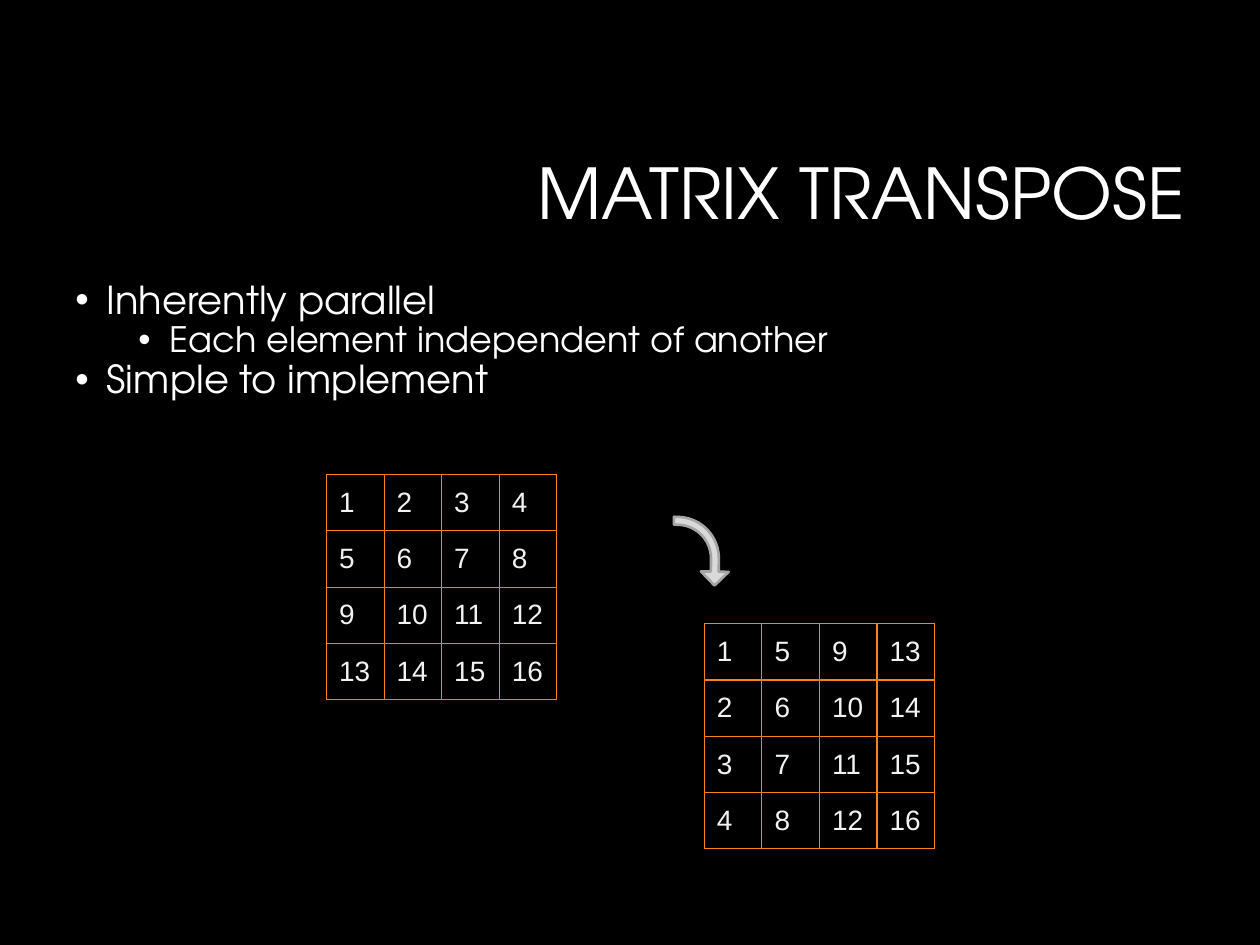
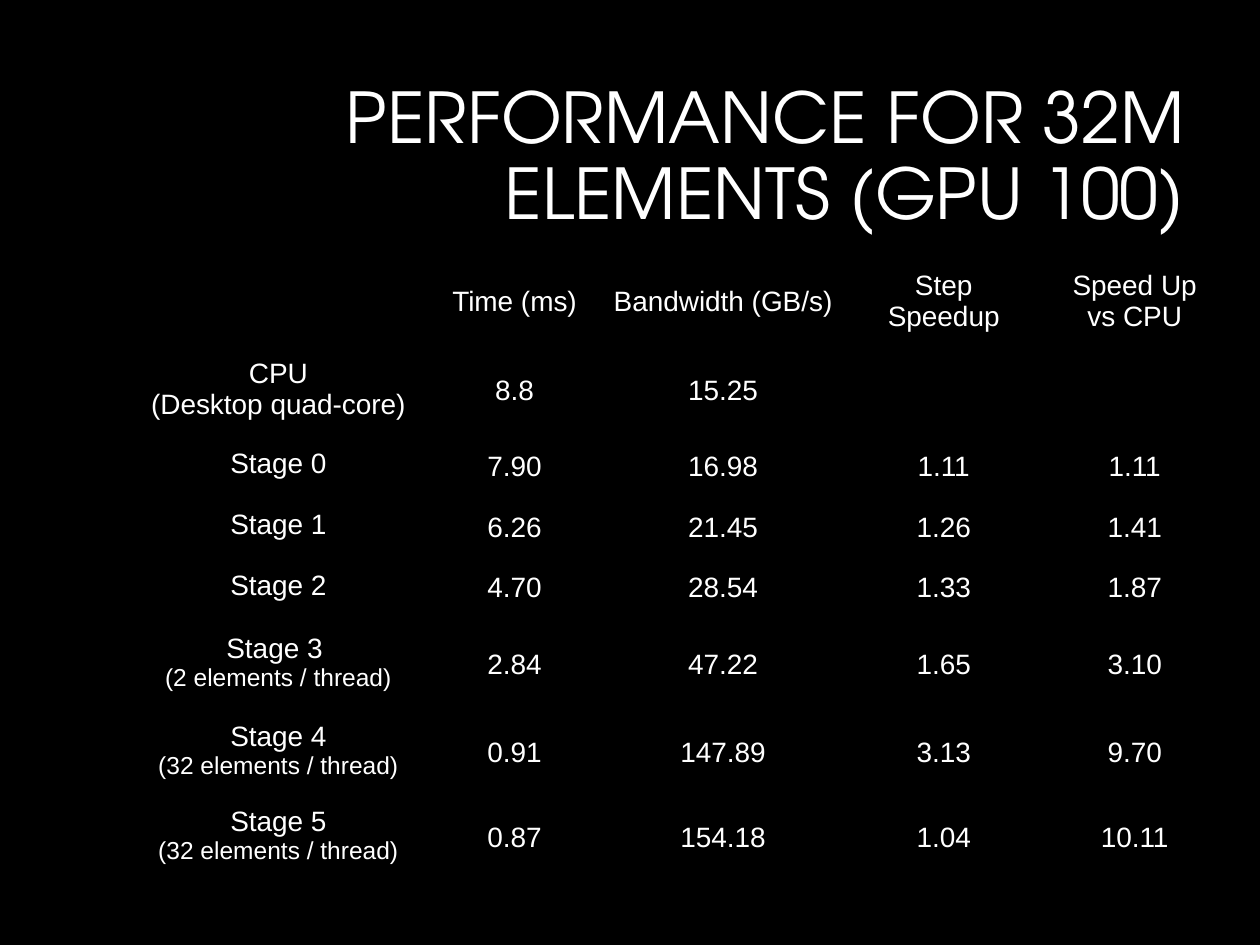
from lxml import etree
from pptx import Presentation
from pptx.dml.color import RGBColor
from pptx.enum.shapes import MSO_SHAPE
from pptx.enum.text import MSO_ANCHOR, PP_ALIGN
from pptx.oxml.ns import qn
from pptx.util import Pt

BENT_ARROW = MSO_SHAPE.BENT_ARROW
RIGHT, CENTER = PP_ALIGN.RIGHT, PP_ALIGN.CENTER
BOTTOM, MIDDLE = MSO_ANCHOR.BOTTOM, MSO_ANCHOR.MIDDLE
color = RGBColor.from_string
BLACK, WHITE, OFF_WHITE = "000000", "FFFFFF", "F2F2F2"
ORANGE, LIGHT_GRAY, GRAY = "FE801A", "DADADA", "A5A5A5"
HEADING_FONT, TABLE_FONT = "TeX Gyre Adventor", "Arial"
PLAIN_TABLE_STYLE = "{2D5ABB26-0587-4C30-8999-92F81FD0307C}"


def add_text(slide, top, height, lines):
    frame = slide.shapes.add_textbox(Pt(36), Pt(top), Pt(648), Pt(height)).text_frame
    frame.word_wrap = True
    frame.margin_top = frame.margin_bottom = Pt(7.2)
    frame.text = "\n".join(text for text, size in lines)
    for paragraph, (text, size) in zip(frame.paragraphs, lines):
        paragraph.line_spacing = 0.9
        paragraph.font.name = HEADING_FONT
        paragraph.font.size = Pt(size)
        paragraph.font.color.rgb = color(WHITE)
    return frame


def add_table(slide, left, top, widths, heights, rows, text_color, margins):
    frame = slide.shapes.add_table(len(rows), len(widths), Pt(left), Pt(top),
                                   Pt(sum(widths)), Pt(sum(heights)))
    table = frame.table
    table.first_row = table.horz_banding = False
    table._tbl.tblPr.find(qn("a:tableStyleId")).text = PLAIN_TABLE_STYLE
    for column, width in zip(table.columns, widths):
        column.width = Pt(width)
    for row, height in zip(table.rows, heights):
        row.height = Pt(height)
    for row, values in zip(table.rows, rows):
        for cell, value in zip(row.cells, values):
            cell.text = str(value)
            cell.margin_left = cell.margin_right = Pt(7.2)
            cell.margin_top, cell.margin_bottom = map(Pt, margins)
            cell.fill.background()
            for paragraph in cell.text_frame.paragraphs:
                paragraph.font.name = TABLE_FONT
                paragraph.font.size = Pt(16)
                paragraph.font.color.rgb = color(text_color)
    return table


presentation = Presentation()
presentation.slide_width = Pt(720)
presentation.slide_height = Pt(540)

slides = []
for title in ["MATRIX TRANSPOSE", "PERFORMANCE FOR 32M ELEMENTS (GPU 100)"]:
    slide = presentation.slides.add_slide(presentation.slide_layouts[6])
    slide.background.fill.solid()
    slide.background.fill.fore_color.rgb = color(BLACK)
    title_frame = add_text(slide, 21.6, 119.5, [(title, 40)])
    title_frame.vertical_anchor = BOTTOM
    title_frame.paragraphs[0].alignment = RIGHT
    slides.append(slide)
transpose_slide, performance_slide = slides

points = [
    ("Inherently parallel", 22, 18),
    ("Each element independent of another", 20, 54),
    ("Simple to implement", 22, 18),
]
body = add_text(transpose_slide, 153.4, 363.6, [(text, size) for text, size, indent in points])
for paragraph, (text, size, indent) in zip(body.paragraphs, points):
    properties = paragraph._p.get_or_add_pPr()
    properties.set("marL", str(Pt(indent)))
    properties.set("indent", str(-Pt(18)))
    bullet_font = etree.Element(qn("a:buFont"), typeface=TABLE_FONT)
    bullet = etree.Element(qn("a:buChar"), char="•")
    properties.find(qn("a:lnSpc")).addnext(bullet_font)
    bullet_font.addnext(bullet)

matrix = [[4 * row + column + 1 for column in range(4)] for row in range(4)]
transposed = list(zip(*matrix))
for left, top, numbers in [(186.6, 271.2, matrix), (402.5, 356.4, transposed)]:
    table = add_table(transpose_slide, left, top, [32.9] * 4, [32.15] * 4, numbers,
                      OFF_WHITE, (7.2, 4))
    for cell in table.iter_cells():
        cell_properties = cell._tc.get_or_add_tcPr()
        for position, side in enumerate(["lnL", "lnR", "lnT", "lnB"]):
            border = etree.Element(qn(f"a:{side}"), w=str(Pt(0.75)))
            fill = etree.SubElement(border, qn("a:solidFill"))
            etree.SubElement(fill, qn("a:srgbClr"), val=ORANGE)
            cell_properties.insert(position, border)

arrow = transpose_slide.shapes.add_shape(BENT_ARROW, Pt(381.2), Pt(299.2), Pt(38.9), Pt(31.7))
arrow.rotation = 90.9
for index, adjustment in enumerate([0.142, 0.25, 0.25, 0.75]):
    arrow.adjustments[index] = adjustment
arrow.shadow.inherit = False
arrow.fill.solid()
arrow.fill.fore_color.rgb = color(LIGHT_GRAY)
arrow.line.color.rgb = color(GRAY)
arrow.line.width = Pt(1.5)

results = [
    ["", "Time (ms)", "Bandwidth (GB/s)", "Step Speedup", "Speed Up\vvs CPU"],
    ["CPU\n(Desktop quad-core)", "8.8", "15.25", "", ""],
    ["Stage 0", "7.90", "16.98", "1.11", "1.11"],
    ["Stage 1", "6.26", "21.45", "1.26", "1.41"],
    ["Stage 2", "4.70", "28.54", "1.33", "1.87"],
    ["Stage 3 \n(2 elements / thread)", "2.84", "47.22", "1.65", "3.10"],
    ["Stage 4\n(32 elements / thread)", "0.91", "147.89", "3.13", "9.70"],
    ["Stage 5\n(32 elements / thread)", "0.87", "154.18", "1.04", "10.11"],
]
column_widths = [171.4, 98.6, 139.7, 112.4, 105.9]
row_heights = [48.2, 51.5, 34.7, 34.7, 34.7, 52.6, 48.9, 47.5]
table = add_table(performance_slide, 73.4, 148.3, column_widths, row_heights, results,
                  WHITE, (4, 4))
for row_index, row in enumerate(table.rows):
    for column_index, cell in enumerate(row.cells):
        cell.vertical_anchor = MIDDLE
        for paragraph in cell.text_frame.paragraphs:
            paragraph.alignment = CENTER
            if row_index > 0 and column_index > 0:
                paragraph.line_spacing = 1.15
            if paragraph.text.endswith("thread)"):
                paragraph.font.size = Pt(14)

presentation.save("out.pptx")
